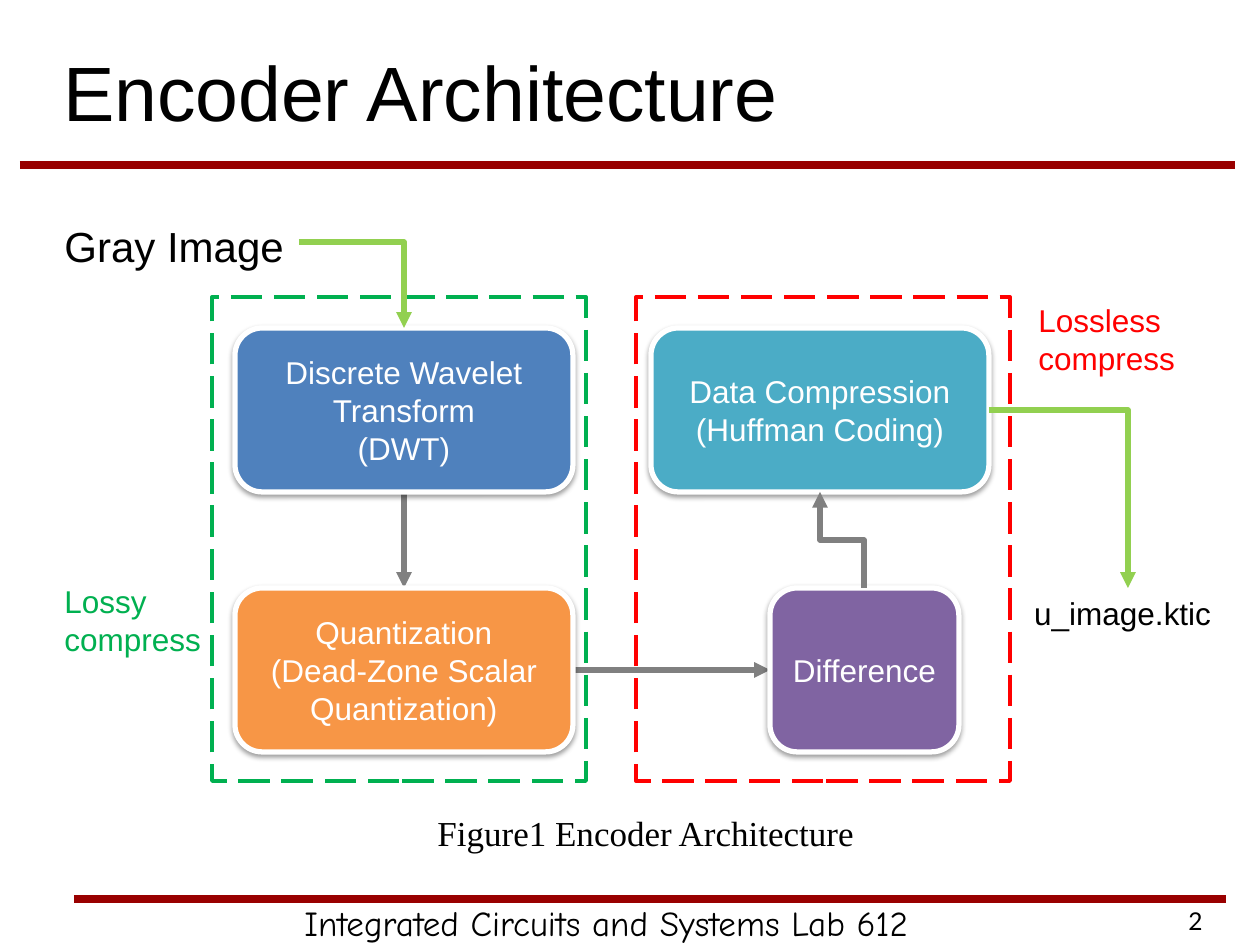
from lxml.etree import SubElement
from pptx import Presentation
from pptx.dml.color import RGBColor
from pptx.enum.dml import MSO_LINE
from pptx.enum.shapes import MSO_CONNECTOR, MSO_SHAPE
from pptx.enum.text import MSO_ANCHOR, PP_ALIGN
from pptx.oxml.ns import qn
from pptx.util import Pt

EMU_PER_PX = 914400 / 126
BLACK, WHITE, GRAY = "000000", "FFFFFF", "808080"
DARK_RED, LIME, GREEN, RED = "990000", "92D050", "00B050", "FF0000"


def px(*lengths):
    """Turn pixel lengths into a list of EMU."""
    return [round(length * EMU_PER_PX) for length in lengths]


def color(value):
    """Turn a hex string into a colour."""
    return RGBColor.from_string(value)


def format_text(text_frame, text, size, value, font="Arial", align=PP_ALIGN.LEFT):
    """Set the text of a frame and format all of its runs."""
    text_frame.text = text
    for paragraph in text_frame.paragraphs:
        paragraph.alignment = align
        for run in paragraph.runs:
            run.font.name = font
            run.font.size = Pt(size)
            run.font.color.rgb = color(value)


def add_title(slide, text):
    """Place and format the title placeholder."""
    title = slide.shapes.title
    title.left, title.top, title.width, title.height = px(63, 38, 1134, 117)
    text_frame = title.text_frame
    format_text(text_frame, text, 44, BLACK)
    text_frame.vertical_anchor = MSO_ANCHOR.MIDDLE
    text_frame.margin_left = text_frame.margin_right = 0
    text_frame.margin_top = text_frame.margin_bottom = 0
    text_frame.paragraphs[0].line_spacing = 0.9


def add_label(slide, box, text, size, value=BLACK, font="Arial",
              align=PP_ALIGN.LEFT, wrap=True):
    """Add a text box."""
    text_frame = slide.shapes.add_textbox(*px(*box)).text_frame
    text_frame.word_wrap = wrap
    format_text(text_frame, text, size, value, font, align)


def add_line(slide, ends, value, width, kind=MSO_CONNECTOR.STRAIGHT):
    """Add a connector without a shadow."""
    connector = slide.shapes.add_connector(kind, *px(*ends))
    connector.line.color.rgb = color(value)
    connector.line.width = Pt(width)
    SubElement(connector._element.spPr, qn("a:effectLst"))
    return connector


def add_arrow(slide, ends, value, kind=MSO_CONNECTOR.STRAIGHT):
    """Add a connector with a triangular head at its end."""
    connector = add_line(slide, ends, value, 3, kind)
    SubElement(connector.line._get_or_add_ln(), qn("a:tailEnd"), type="triangle")
    return connector


def add_corner_arrow(slide, ends):
    """Add an arrow that runs across and then down."""
    connector = add_arrow(slide, ends, LIME, MSO_CONNECTOR.ELBOW)
    connector._element.spPr.find(qn("a:prstGeom")).set("prst", "bentConnector2")


def add_rising_arrow(slide, start, end):
    """Add an arrow that runs up, across and up again."""
    middle_x, middle_y = (start[0] + end[0]) / 2, (start[1] + end[1]) / 2
    half_rise, half_run = (start[1] - end[1]) / 2, (start[0] - end[0]) / 2
    ends = (middle_x - half_rise, middle_y + half_run,
            middle_x + half_rise, middle_y - half_run)
    connector = add_arrow(slide, ends, GRAY, MSO_CONNECTOR.ELBOW)
    connector._element.spPr.find(qn("a:xfrm")).set("rot", str(270 * 60000))


def add_shadow(shape):
    """Give a shape a soft shadow below it."""
    shape.shadow.inherit = False
    effects = shape._element.spPr.find(qn("a:effectLst"))
    shadow = SubElement(effects, qn("a:outerShdw"), blurRad=str(Pt(3.1)),
                        dist=str(Pt(1.6)), dir=str(90 * 60000), rotWithShape="0")
    shade = SubElement(shadow, qn("a:srgbClr"), val=BLACK)
    SubElement(shade, qn("a:alpha"), val="38000")


def add_stage(slide, box, text, fill):
    """Add a rounded box for one stage of the encoder."""
    shape = slide.shapes.add_shape(MSO_SHAPE.ROUNDED_RECTANGLE, *px(*box))
    shape.fill.solid()
    shape.fill.fore_color.rgb = color(fill)
    shape.line.color.rgb = color(WHITE)
    shape.line.width = Pt(3)
    add_shadow(shape)
    shape.text_frame.vertical_anchor = MSO_ANCHOR.MIDDLE
    shape.text_frame.word_wrap = True
    format_text(shape.text_frame, text, 18, WHITE, align=PP_ALIGN.CENTER)


def add_dashed_frame(slide, left, value):
    """Add a dashed frame around a group of stages."""
    shape = slide.shapes.add_shape(MSO_SHAPE.RECTANGLE, *px(left, 297, 374, 484))
    shape.fill.background()
    shape.line.color.rgb = color(value)
    shape.line.width = Pt(2.25)
    shape.line.dash_style = MSO_LINE.LONG_DASH
    shape.shadow.inherit = False


def add_diagram(slide):
    """Add the stages, their frames, arrows and labels."""
    top, bottom, width, height = 328, 588, 338, 164
    left, right, narrow_left = 235, 651, 770
    center = left + width // 2
    middle = bottom + height // 2
    add_arrow(slide, (center, top + height, center, bottom), GRAY)
    add_arrow(slide, (left + width, middle, narrow_left, middle), GRAY)
    stages = [
        ((left, top, width, height), "Discrete\u00a0Wavelet Transform\n(DWT)", "4F81BD"),
        ((left, bottom, width, height),
         "Quantization\n(Dead-Zone Scalar Quantization)", "F79646"),
        ((narrow_left, bottom, 189, height), "Difference", "8064A2"),
        ((right, top, width, height), "Data Compression\n(Huffman Coding)", "4BACC6"),
    ]
    for box, text, fill in stages:
        add_stage(slide, box, text, fill)
    add_rising_arrow(slide, (864, bottom), (right + width // 2, top + height))
    add_dashed_frame(slide, 212, GREEN)
    add_dashed_frame(slide, 636, RED)
    add_corner_arrow(slide, (right + width, 410, 1128, bottom))
    add_corner_arrow(slide, (299, 242, center, top))
    add_label(slide, (52, 214, 247, 54), "Gray Image", 24)
    add_label(slide, (1013, bottom, 228, 50), "u_image.ktic ", 18,
              align=PP_ALIGN.CENTER)
    add_label(slide, (52, 576, 170, 76), "Lossy\ncompress", 18, GREEN)
    add_label(slide, (1026, 295, 170, 76), "Lossless\ncompress", 18, RED)


def main():
    """Build and save the slide."""
    presentation = Presentation()
    presentation.slide_width, presentation.slide_height = px(1260, 945)
    slide = presentation.slides.add_slide(presentation.slide_layouts[5])
    add_label(slide, (292, 895, 735, 54), "Integrated Circuits and Systems Lab 612",
              20, font="Comic Neue")
    add_line(slide, (74, 899, 1226, 899), DARK_RED, 4.5)
    add_line(slide, (20, 165, 1235, 165), DARK_RED, 4.5)
    add_title(slide, "Encoder Architecture")
    add_label(slide, (921, 900, 294, 18), "2", 14, font="Lato", align=PP_ALIGN.RIGHT)
    add_diagram(slide)
    add_label(slide, (425, 805, 445, 55), "Figure1 Encoder Architecture", 20,
              font="Times New Roman", wrap=False)
    presentation.save("out.pptx")


if __name__ == "__main__":
    main()
